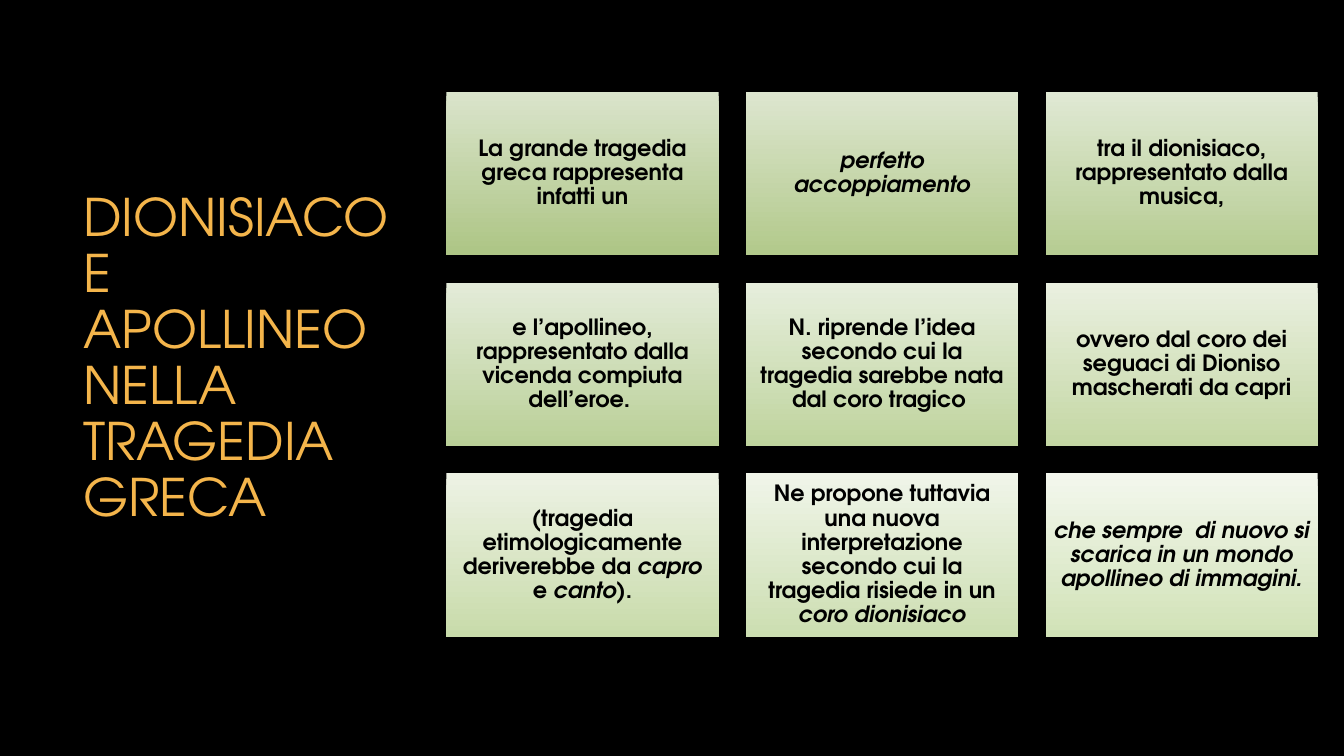
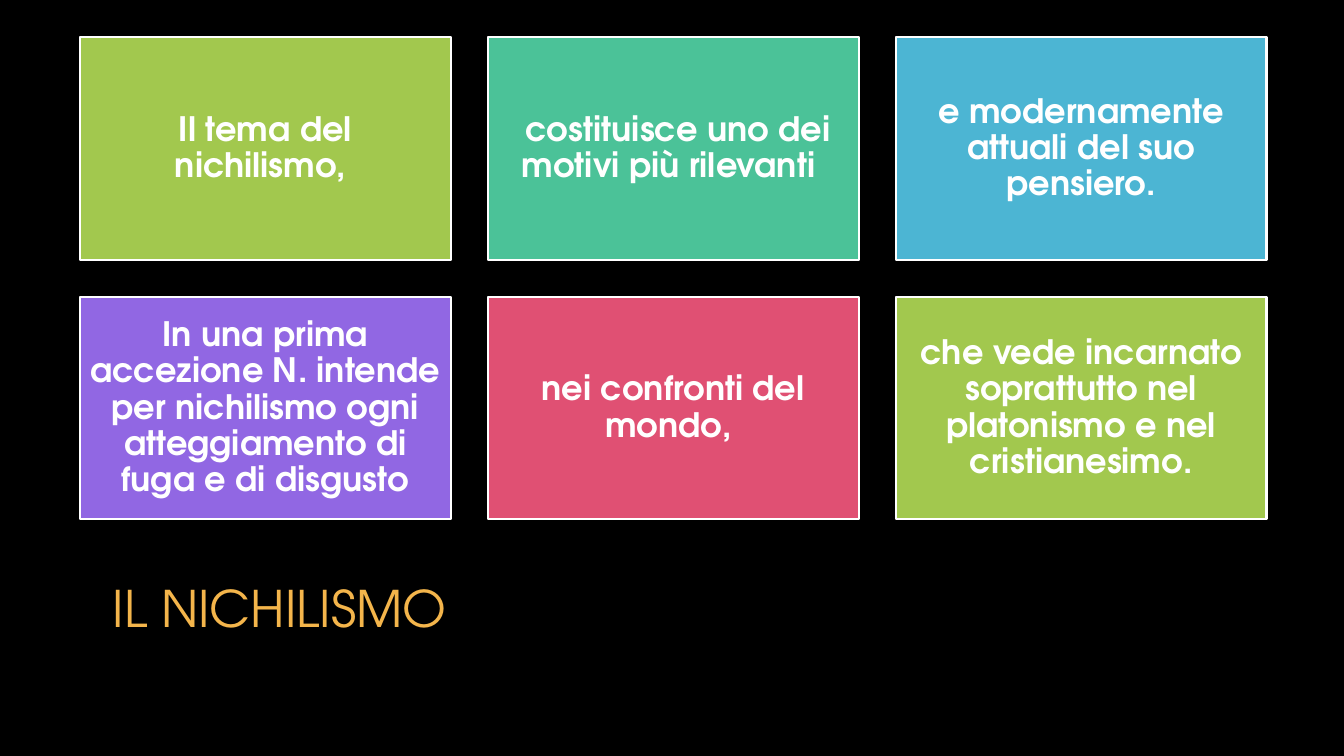
import pptx
import pptx.dml.color
import pptx.enum.shapes
import pptx.enum.text
import pptx.util
from pptx.util import Cm

COLORS = {
    "background": "000000",
    "title": "F4B54B",
    "dark": "000000",
    "light": "FFFFFF",
    "lime": "A2C84E",
    "green": "4BC298",
    "blue": "4CB5D3",
    "violet": "9167E3",
    "red": "E05073",
    # Tile gradients run from the first tile's pair to the last tile's pair
    "first_top": "DAE4CB",
    "first_bottom": "ADC585",
    "last_top": "F3F7ED",
    "last_bottom": "D1E2B7",
}
FONT = "TeX Gyre Adventor"
MIDDLE = pptx.enum.text.MSO_ANCHOR.MIDDLE
TOP = pptx.enum.text.MSO_ANCHOR.TOP
LEFT = pptx.enum.text.PP_ALIGN.LEFT
CENTER = pptx.enum.text.PP_ALIGN.CENTER


def rgb(name):
    return pptx.dml.color.RGBColor.from_string(COLORS[name])


def blend(start, end, share):
    """Return the colour lying at the given share between two named colours."""
    return pptx.dml.color.RGBColor(
        *(round(a + (b - a) * share) for a, b in zip(rgb(start), rgb(end))))


def write_text(shape, text, size, color, bold=False, align=LEFT, anchor=TOP,
               inset=None, line_spacing=1.0, space_after=0):
    """Write one paragraph; parts between asterisks are italic."""
    frame = shape.text_frame
    frame.word_wrap = True
    frame.vertical_anchor = anchor
    if inset is not None:
        frame.margin_left = frame.margin_right = inset
        frame.margin_top = frame.margin_bottom = inset
    paragraph = frame.paragraphs[0]
    paragraph.alignment = align
    paragraph.line_spacing = line_spacing
    paragraph.space_after = pptx.util.Pt(space_after)
    for index, part in enumerate(text.split("*")):
        if part:
            run = paragraph.add_run()
            run.text = part
            run.font.name = FONT
            run.font.size = pptx.util.Pt(size)
            run.font.bold = bold
            run.font.italic = index % 2 == 1
            run.font.color.rgb = rgb(color)


class Deck:
    def __init__(self):
        self.presentation = pptx.Presentation()
        self.presentation.slide_width = Cm(33.87)
        self.presentation.slide_height = Cm(19.05)
        self.slide = None

    def new_slide(self):
        self.slide = self.presentation.slides.add_slide(
            self.presentation.slide_layouts[6])
        fill = self.slide.background.fill
        fill.solid()
        fill.fore_color.rgb = rgb("background")

    def title(self, text, left, top, width, height, size, **text_format):
        box = self.slide.shapes.add_textbox(
            Cm(left), Cm(top), Cm(width), Cm(height))
        write_text(box, text, size, "title", **text_format)

    def tile(self, text, left, top, width, height, size, color, inset):
        shape = self.slide.shapes.add_shape(
            pptx.enum.shapes.MSO_SHAPE.RECTANGLE,
            Cm(left), Cm(top), Cm(width), Cm(height))
        shape.shadow.inherit = False
        write_text(shape, text, size, color, bold=True, align=CENTER,
                   anchor=MIDDLE, inset=Cm(inset), line_spacing=0.9,
                   space_after=size * 0.35)
        return shape

    def grid(self, texts, left, top, width, height, gap, **tile_format):
        """Place the texts in rows of three tiles and return the tiles."""
        tiles = []
        for index, text in enumerate(texts):
            row, column = divmod(index, 3)
            tiles.append(self.tile(
                text, left + column * (width + gap),
                top + row * (height + gap), width, height, **tile_format))
        return tiles


def add_tragedy_slide(deck):
    deck.new_slide()
    deck.title("DIONISIACO E APOLLINEO NELLA TRAGEDIA GRECA",
               1.85, 3.96, 8.41, 10.21, size=37, anchor=MIDDLE,
               line_spacing=0.9)
    texts = [
        "La grande tragedia greca rappresenta infatti un",
        "*perfetto accoppiamento*",
        "tra il dionisiaco, rappresentato dalla musica,",
        "e l’apollineo, rappresentato dalla vicenda compiuta dell’eroe. ",
        "N. riprende l’idea secondo cui la tragedia sarebbe nata dal coro "
        "tragico ",
        "ovvero dal coro dei seguaci di Dioniso mascherati da capri",
        "(tragedia etimologicamente deriverebbe da *capro *e *canto*).",
        "Ne propone tuttavia una nuova interpretazione secondo cui la "
        "tragedia risiede in un* coro dionisiaco*",
        "*che sempre  di nuovo si scarica in un mondo apollineo di immagini.*",
    ]
    tiles = deck.grid(texts, 11.25, 2.31, 6.86, 4.12, 0.69,
                      size=16, color="dark", inset=0.17)
    # Tiles grow paler from the first to the last
    for index, tile in enumerate(tiles):
        share = index / (len(tiles) - 1)
        tile.line.fill.background()
        tile.fill.gradient()
        tile.fill.gradient_angle = 270
        for stop, edge in zip(tile.fill.gradient_stops, ("top", "bottom")):
            stop.color.rgb = blend(f"first_{edge}", f"last_{edge}", share)


def add_nihilism_slide(deck):
    deck.new_slide()
    deck.title("IL NICHILISMO", 2.59, 14.43, 27.51, 3.02, size=36)
    colors_by_text = {
        "Il tema del nichilismo, ": "lime",
        " costituisce uno dei motivi più rilevanti ": "green",
        "e modernamente attuali del suo pensiero.": "blue",
        "In una prima accezione N. intende per nichilismo ogni "
        "atteggiamento di fuga e di disgusto": "violet",
        "nei confronti del mondo, ": "red",
        "che vede incarnato soprattutto nel platonismo e nel "
        "cristianesimo.": "lime",
    }
    tiles = deck.grid(colors_by_text, 2.01, 0.94, 9.35, 5.61, 0.93,
                      size=24, color="light", inset=0.25)
    for tile, color in zip(tiles, colors_by_text.values()):
        tile.fill.solid()
        tile.fill.fore_color.rgb = rgb(color)
        tile.line.color.rgb = rgb("light")
        tile.line.width = pptx.util.Pt(1.5)


def main():
    deck = Deck()
    add_tragedy_slide(deck)
    add_nihilism_slide(deck)
    deck.presentation.save("out.pptx")


if __name__ == "__main__":
    main()
